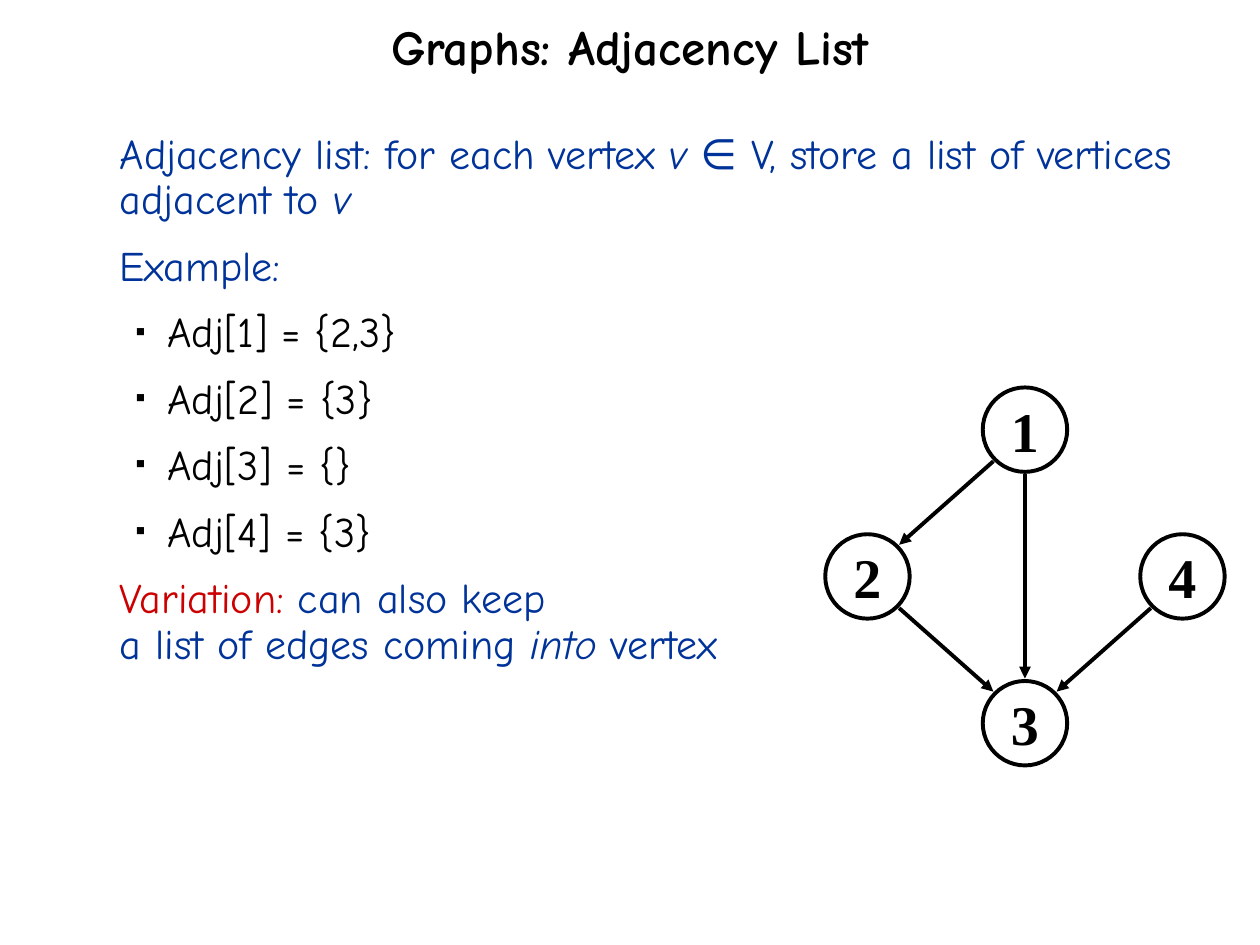
import math

from lxml import etree
from pptx import Presentation
from pptx import util as u
from pptx.dml.color import RGBColor
from pptx.enum import shapes, text
from pptx.oxml.ns import qn

BLACK = RGBColor(0x00, 0x00, 0x00)
BLUE = RGBColor(0x00, 0x33, 0x99)
RED = RGBColor(0xCC, 0x00, 0x00)
BODY_FONT = "Comic Neue"
NODE_FONT = "Times New Roman"
LINE_WIDTH = u.Pt(2.25)

ADJACENCY = {1: [2, 3], 2: [3], 3: [], 4: [3]}
NODE_CELLS = {1: (1, 0), 2: (0, 1), 4: (2, 1), 3: (1, 2)}  # column, row

# Each paragraph is a list of (text, colour, italic) runs.
DEFINITION = [
    ("Adjacency list: for each vertex ", BLUE, False),
    ("v ", BLUE, True),
    ("∈ V, store a list of vertices adjacent to ", BLUE, False),
    ("v", BLUE, True),
]
EXAMPLE = [("Example:", BLUE, False)]
VARIATION = [
    ("Variation:", RED, False),
    (" can also keep ", BLUE, False),
    ("\n", BLUE, False),
    ("a list of edges coming ", BLUE, False),
    ("into ", BLUE, True),
    ("vertex", BLUE, False),
]


def format_font(font, name, size, color, bold=False, italic=False):
    font.name, font.size = name, u.Pt(size)
    font.bold, font.italic = bold, italic
    font.color.rgb = color


def place(shape, box):
    shape.left, shape.top, shape.width, shape.height = (int(length) for length in box)


def add_title(slide, box):
    title = slide.shapes.title
    place(title, box)
    frame = title.text_frame
    frame.text = "Graphs: Adjacency List"
    frame.auto_size = text.MSO_AUTO_SIZE.NONE
    frame.vertical_anchor = text.MSO_ANCHOR.MIDDLE
    paragraph = frame.paragraphs[0]
    paragraph.alignment = text.PP_ALIGN.CENTER
    paragraph.line_spacing = 0.7
    format_font(paragraph.runs[0].font, BODY_FONT, 28, BLACK, bold=True)


def set_bullet(paragraph, bulleted):
    """Give the paragraph a small square bullet, or neither bullet nor indent."""
    properties = paragraph._p.get_or_add_pPr()
    properties.set("marL", str(u.Inches(0.38) if bulleted else 0))
    properties.set("indent", str(u.Inches(-0.25) if bulleted else 0))
    if not bulleted:
        etree.SubElement(properties, qn("a:buNone"))
        return
    color = etree.SubElement(properties, qn("a:buClr"))
    etree.SubElement(color, qn("a:srgbClr"), val=str(BLACK))
    etree.SubElement(properties, qn("a:buSzPct"), val="35000")
    etree.SubElement(properties, qn("a:buFont"), typeface="Arial")
    etree.SubElement(properties, qn("a:buChar"), char="■")


def add_body(slide, box):
    body = slide.placeholders[1]
    place(body, box)
    frame = body.text_frame
    frame.auto_size = text.MSO_AUTO_SIZE.NONE
    frame.vertical_anchor = text.MSO_ANCHOR.TOP
    entries = [
        [(f"Adj[{vertex}] = {{{','.join(map(str, neighbours))}}}", BLACK, False)]
        for vertex, neighbours in ADJACENCY.items()
    ]
    for index, runs in enumerate([DEFINITION, EXAMPLE, *entries, VARIATION]):
        paragraph = frame.add_paragraph() if index else frame.paragraphs[0]
        bulleted = runs in entries
        paragraph.level = int(bulleted)
        set_bullet(paragraph, bulleted)
        paragraph.line_spacing = u.Pt(26)
        paragraph.space_before = u.Pt(12 if index else 0)
        for words, color, italic in runs:
            if words == "\n":
                paragraph.add_line_break()
                continue
            run = paragraph.add_run()
            run.text = words
            format_font(run.font, BODY_FONT, 24, color, italic=italic)


def add_node(slide, label, center, diameter):
    x, y = center
    node = slide.shapes.add_shape(
        shapes.MSO_SHAPE.OVAL,
        int(x - diameter / 2), int(y - diameter / 2), diameter, diameter,
    )
    node.shadow.inherit = False
    node.fill.background()
    node.line.color.rgb = BLACK
    node.line.width = LINE_WIDTH
    frame = node.text_frame
    frame.text = str(label)
    frame.word_wrap = False
    frame.vertical_anchor = text.MSO_ANCHOR.MIDDLE
    paragraph = frame.paragraphs[0]
    paragraph.alignment = text.PP_ALIGN.CENTER
    format_font(paragraph.runs[0].font, NODE_FONT, 32, BLACK, bold=True)


def add_edge(slide, start, end, step, reach):
    """Draw an arrow whose ends lie at reach from both centres, along the 45° steps."""
    length = math.hypot(*step)
    offsets = [reach * part / length for part in step]
    begin = [int(point + offset) for point, offset in zip(start, offsets)]
    finish = [int(point - offset) for point, offset in zip(end, offsets)]
    edge = slide.shapes.add_connector(shapes.MSO_CONNECTOR.STRAIGHT, *begin, *finish)
    edge.line.color.rgb = BLACK
    edge.line.width = LINE_WIDTH
    etree.SubElement(edge.line._get_or_add_ln(), qn("a:tailEnd"), type="triangle")
    etree.SubElement(edge._element.spPr, qn("a:effectLst"))


def add_graph(slide, box):
    """Draw the vertices on a three by three grid that fills the box, then the edges."""
    left, top, width, height = box
    diameter = u.Inches(0.67)
    column, row = (width - diameter) / 2, (height - diameter) / 2
    centers = {
        vertex: (left + diameter / 2 + x * column, top + diameter / 2 + y * row)
        for vertex, (x, y) in NODE_CELLS.items()
    }
    for vertex, center in centers.items():
        add_node(slide, vertex, center, diameter)
    reach = diameter / 2 + u.Inches(0.02)
    for vertex, neighbours in ADJACENCY.items():
        for neighbour in neighbours:
            step = [
                (b > a) - (b < a)
                for a, b in zip(NODE_CELLS[vertex], NODE_CELLS[neighbour])
            ]
            add_edge(slide, centers[vertex], centers[neighbour], step, reach)


def main():
    presentation = Presentation()
    presentation.slide_width = width = u.Inches(10)
    presentation.slide_height = height = u.Inches(7.5)
    slide = presentation.slides.add_slide(presentation.slide_layouts[1])
    add_title(slide, (0, 0.17 * u.Inches(1), width, height / 15))
    add_body(slide, (0.085 * width, height * 2 / 15, 0.898 * width, 0.79 * height))
    add_graph(slide, (0.655 * width, 0.41 * height, 0.317 * width, 0.4 * height))
    presentation.save("out.pptx")


if __name__ == "__main__":
    main()
